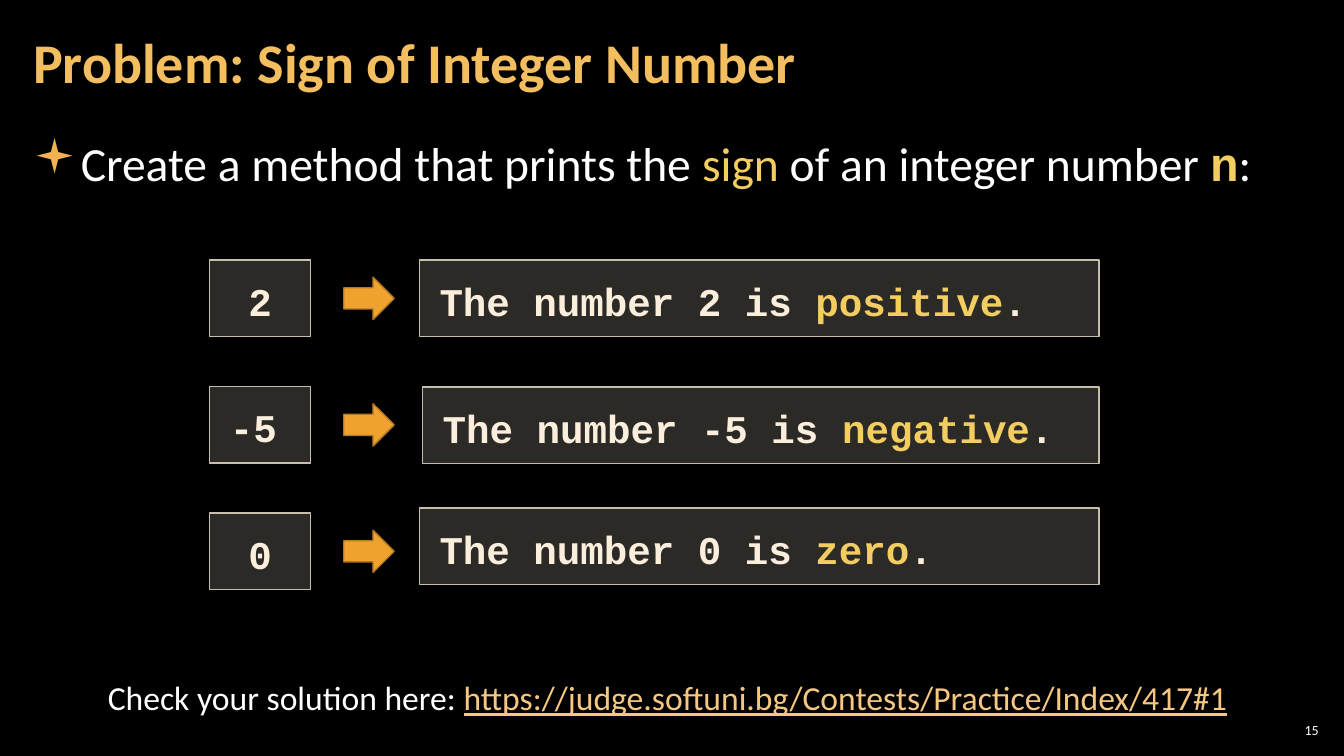
import pptx
import pptx.dml.color
import pptx.enum.shapes
import pptx.enum.text
import pptx.oxml
import pptx.oxml.ns
import pptx.util
from pptx.util import Inches

KIND = pptx.enum.shapes.MSO_SHAPE
ALIGN = pptx.enum.text.PP_ALIGN
MID = pptx.enum.text.MSO_ANCHOR.MIDDLE
TOP = pptx.enum.text.MSO_ANCHOR.TOP
FIT = pptx.enum.text.MSO_AUTO_SIZE.SHAPE_TO_FIT_TEXT
SANS, MONO = "Calibri", "Courier New"
WHITE, CREAM, GOLD = "FFFFFF", "FBEEDC", "F3CD60"


def color(code):
    """Turn a hex string into a colour."""
    return pptx.dml.color.RGBColor.from_string(code)


def element(tag, **attrs):
    """Make a drawing element with the given attributes."""
    node = pptx.oxml.parse_xml(f"<a:{tag} {pptx.oxml.ns.nsdecls('a')}/>")
    for name, value in attrs.items():
        node.set(name, value)
    return node


def write(shape, runs, size, font=SANS, align=ALIGN.LEFT, anchor=TOP,
          pad=(0.12, 0.04), space=1.0, fit=False):
    """Fill a shape with one paragraph of (text, colour, style) runs."""
    frame = shape.text_frame
    frame.word_wrap = True
    frame.vertical_anchor = anchor
    frame.margin_left = frame.margin_right = Inches(pad[0])
    frame.margin_top = frame.margin_bottom = Inches(pad[1])
    if fit:
        frame.auto_size = FIT
    para = frame.paragraphs[0]
    para.alignment = align
    para.line_spacing = space
    for text, code, *style in runs:
        run = para.add_run()
        run.text = text
        run.font.name = MONO if "mono" in style else font
        run.font.size = pptx.util.Pt(size)
        run.font.bold = "bold" in style
        run.font.underline = "under" in style
        run.font.color.rgb = color(code)
    return para


def label(slide, place, runs, size, **look):
    """Add a text box."""
    box = slide.shapes.add_textbox(*map(Inches, place))
    return write(box, runs, size, **look)


def bullet(para):
    """Give a paragraph a square gold bullet."""
    props = para._p.get_or_add_pPr()
    props.set("marL", str(Inches(0.33)))
    props.set("indent", str(-Inches(0.33)))
    tint = element("buClr")
    tint.append(element("srgbClr", val="F2B254"))
    props.append(tint)
    props.append(element("buFont", typeface="Wingdings"))
    props.append(element("buChar", char="▪"))


def block(slide, kind, place, fill, line):
    """Add a filled and outlined preset shape."""
    shape = slide.shapes.add_shape(kind, *map(Inches, place))
    shape.shadow.inherit = False
    shape.fill.solid()
    shape.fill.fore_color.rgb = color(fill)
    shape.line.color.rgb = color(line)
    shape.line.width = pptx.util.Pt(1)
    return shape


def panel(slide, place, runs, align=ALIGN.LEFT):
    """Add a translucent box with code text."""
    shape = block(slide, KIND.RECTANGLE, place, "D9D5C7", "C7BFAC")
    tint = shape._element.spPr.find(".//" + pptx.oxml.ns.qn("a:srgbClr"))
    tint.append(element("alpha", val="20000"))
    bold = [(text, code, "bold") for text, code in runs]
    write(shape, bold, 28, font=MONO, align=align, pad=(0.2, 0.12),
          space=1.1, fit=True)


def sample(slide, value, sign, top, align, left, out):
    """Add one row: input, arrow and expected output."""
    panel(slide, (2.08, top, 1, 0.76), [(value, CREAM)], align)
    block(slide, KIND.RIGHT_ARROW, (3.41, top + 0.17, 0.5, 0.42),
          "F0A22E", "B27822")
    runs = [(f"The number {value} is ", CREAM), (sign, GOLD), (".", CREAM)]
    panel(slide, (left, out, 10.9 - left, 0.76), runs)


def main():
    """Build the slide."""
    deck = pptx.Presentation()
    deck.slide_width, deck.slide_height = Inches(13.33), Inches(7.5)
    slide = deck.slides.add_slide(deck.slide_layouts[6])
    slide.background.fill.solid()
    slide.background.fill.fore_color.rgb = color("000000")

    label(slide, (0.21, 0.04, 10.47, 1.21),
          [("Problem: Sign of Integer Number", "F3BE60", "bold")], 40,
          anchor=MID, space=0.9)
    task = label(slide, (0.21, 1.26, 12.91, 6.09),
                 [("Create a method that prints the ", WHITE),
                  ("sign", GOLD),
                  (" of an integer number ", WHITE),
                  ("n", GOLD, "bold", "mono"),
                  (":", WHITE)], 34, space=1.05)
    bullet(task)

    rows = [("2", "positive", ALIGN.CENTER, 4.16, 2.58),
            ("-5", "negative", ALIGN.LEFT, 4.19, 3.84),
            ("0", "zero", ALIGN.CENTER, 4.16, 5.04)]
    for i, (value, sign, align, left, out) in enumerate(rows):
        sample(slide, value, sign, 2.58 + 1.255 * i, align, left, out)

    label(slide, (0.83, 6.67, 11.58, 0.5),
          [("Check your solution here: ", WHITE),
           ("https://judge.softuni.bg/Contests/Practice/Index/417#1",
            "F6C781", "under")], 24, align=ALIGN.CENTER, pad=(0.1, 0.05),
          fit=True)
    label(slide, (12.65, 7.14, 0.47, 0.21), [("15", WHITE)], 10,
          align=ALIGN.RIGHT, anchor=MID, pad=(0.04, 0.04))
    deck.save("out.pptx")


if __name__ == "__main__":
    main()
